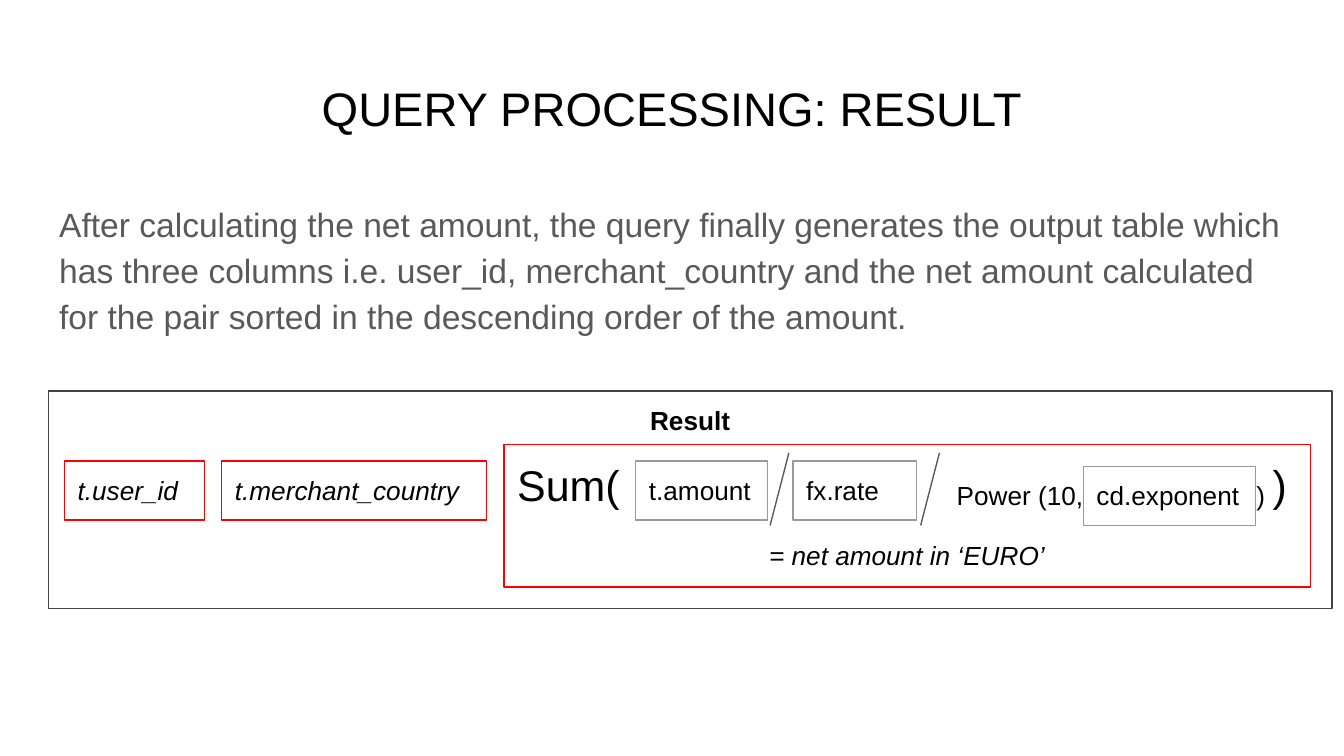
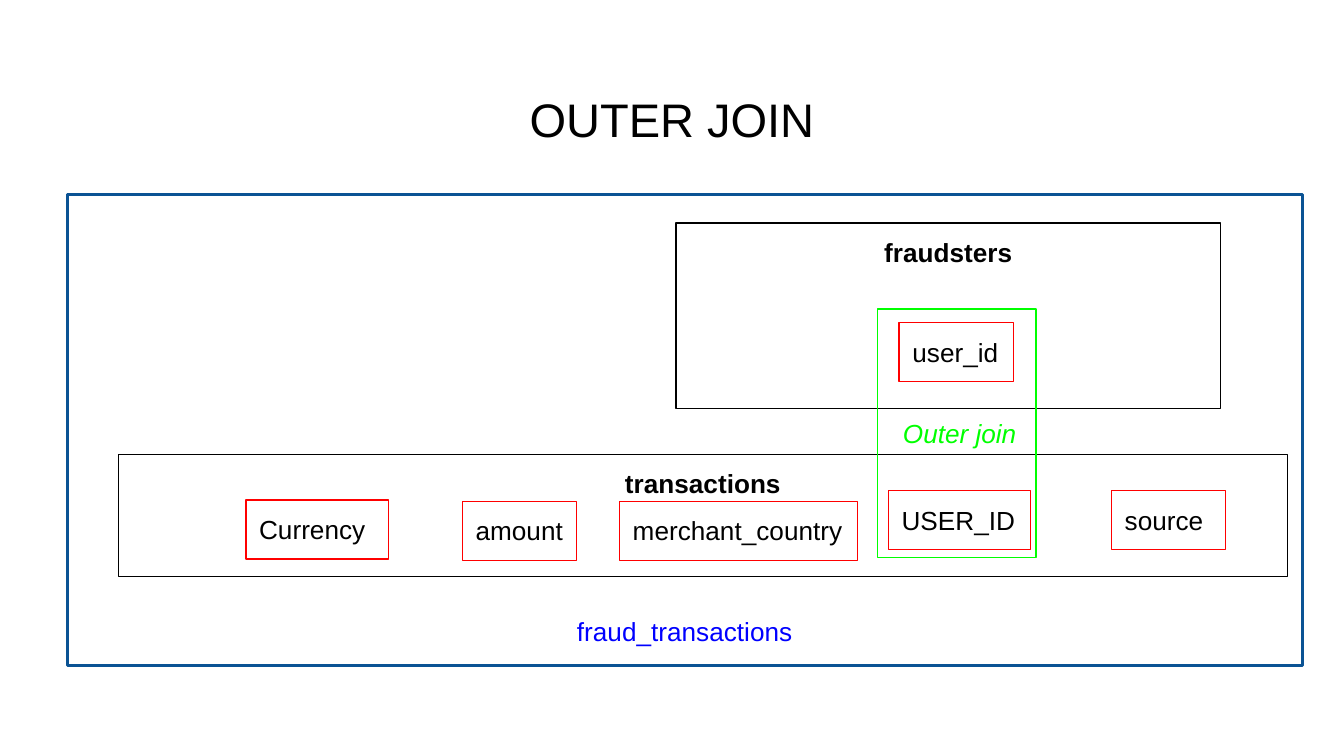
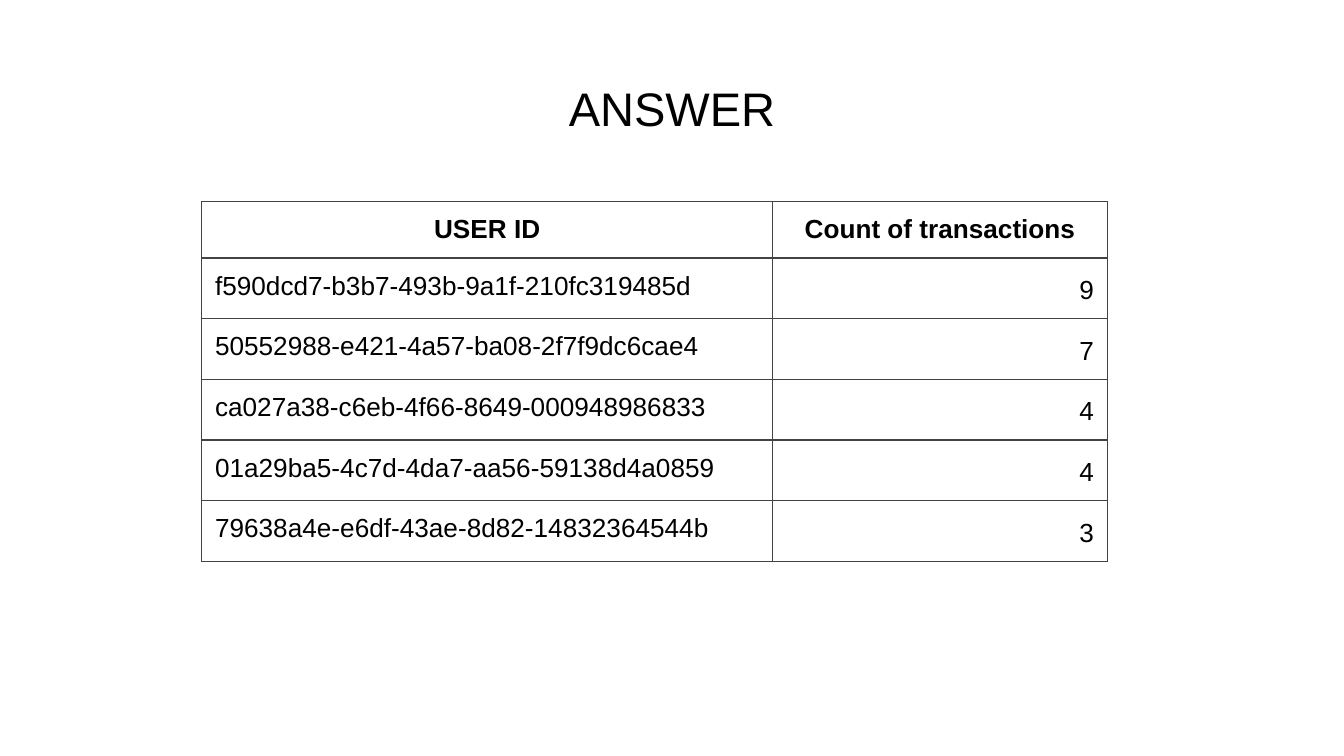
from lxml.etree import SubElement
from pptx import Presentation
from pptx.dml.color import RGBColor
from pptx.enum.shapes import MSO_CONNECTOR, MSO_SHAPE
from pptx.enum.text import MSO_ANCHOR, MSO_AUTO_SIZE, PP_ALIGN
from pptx.oxml.ns import qn
from pptx.util import Inches, Pt

FONT = "Arial"
TEXT_SIZE = 14
MARGIN = 0.1
FIELD_HEIGHT = 0.44
COLORS = {
    "text": "000000",
    "body": "595959",
    "slash": "595959",
    "border": "434343",
    "selected": "FF0000",
    "operand": "999999",
    "join": "00FF00",
    "output_border": "0B5394",
    "output_text": "0000FF",
}
TITLE_ONLY, TITLE_AND_BODY = 5, 1


def color(name):
    return RGBColor.from_string(COLORS[name])


def style_paragraph(paragraph, size=TEXT_SIZE, ink="text", align=PP_ALIGN.LEFT,
                    bold=False, italic=False):
    font = paragraph.font
    font.name, font.size = FONT, Pt(size)
    font.bold, font.italic = bold, italic
    font.color.rgb = color(ink)
    paragraph.alignment = align


def set_margins(target):
    """Give a text frame or table cell the same margin on each side."""
    target.margin_left = target.margin_right = Inches(MARGIN)
    target.margin_top = target.margin_bottom = Inches(MARGIN)


def prepare_frame(shape, anchor):
    frame = shape.text_frame
    set_margins(frame)
    frame.word_wrap = True
    frame.auto_size = MSO_AUTO_SIZE.NONE
    frame.vertical_anchor = anchor
    return frame


def place(shape, left, top, width, height):
    shape.left, shape.top = Inches(left), Inches(top)
    shape.width, shape.height = Inches(width), Inches(height)


def add_tab_stop(paragraph, position):
    properties = paragraph._p.get_or_add_pPr()
    tabs = SubElement(properties, qn("a:tabLst"))
    SubElement(tabs, qn("a:tab"), pos=str(Inches(position)), algn="l")
    # The schema wants tab stops ahead of the default run properties.
    properties.insert(0, tabs)


def add_titled_slide(presentation, title, layout=TITLE_ONLY, top=0.49):
    slide = presentation.slides.add_slide(presentation.slide_layouts[layout])
    shape = slide.shapes.title
    place(shape, 0.34, top, 9.32, 0.63)
    frame = prepare_frame(shape, MSO_ANCHOR.MIDDLE)
    frame.text = title
    style_paragraph(frame.paragraphs[0], size=25.2, align=PP_ALIGN.CENTER)
    return slide


def fill_body(slide, text):
    body = slide.placeholders[1]
    place(body, 0.34, 1.37, 9.32, 1.33)
    frame = prepare_frame(body, MSO_ANCHOR.TOP)
    frame.text = text
    paragraph = frame.paragraphs[0]
    properties = paragraph._p.get_or_add_pPr()
    properties.set("marL", "0")
    properties.set("indent", "0")
    SubElement(properties, qn("a:buNone"))
    style_paragraph(paragraph, size=18, ink="body")
    paragraph.line_spacing = 1.15
    paragraph.space_before, paragraph.space_after = Pt(0), Pt(12)


def add_box(slide, box, text, border, weight=0.75, anchor=MSO_ANCHOR.TOP, **style):
    """Add an outlined rectangle with one styled paragraph."""
    shape = slide.shapes.add_shape(MSO_SHAPE.RECTANGLE, *map(Inches, box))
    shape.shadow.inherit = False
    shape.fill.background()
    shape.line.color.rgb = color(border)
    shape.line.width = Pt(weight)
    frame = prepare_frame(shape, anchor)
    frame.text = text
    style_paragraph(frame.paragraphs[0], **style)
    return shape


def add_field(slide, left, top, width, text, border="selected", italic=False):
    add_box(slide, (left, top, width, FIELD_HEIGHT), text, border, italic=italic)


def add_slash(slide, left, top):
    line = slide.shapes.add_connector(
        MSO_CONNECTOR.STRAIGHT,
        Inches(left + 0.14), Inches(top), Inches(left), Inches(top + 0.54))
    line.line.color.rgb = color("slash")
    line.line.width = Pt(0.75)
    SubElement(line._element.spPr, qn("a:effectLst"))


def add_net_amount(slide, left, top):
    """Draw the formula for the net amount inside its outlined box."""
    for offset, drop, width, text in ((0.98, 0.12, 0.98, "t.amount"),
                                      (2.15, 0.12, 0.92, "fx.rate"),
                                      (4.31, 0.16, 1.28, "cd.exponent")):
        add_field(slide, left + offset, top + drop, width, text, "operand")
    for offset in (1.98, 3.1):
        add_slash(slide, left + offset, top + 0.06)

    power = slide.shapes.add_textbox(
        Inches(left + 3.27), Inches(top + 0.16), Inches(2.56), Inches(FIELD_HEIGHT))
    frame = prepare_frame(power, MSO_ANCHOR.TOP)
    frame.text = "Power (10,\t)"
    style_paragraph(frame.paragraphs[0])
    add_tab_stop(frame.paragraphs[0], 2.23)

    formula = add_box(slide, (left, top, 6, 1.06), "Sum(\t)", "selected", size=23)
    add_tab_stop(formula.text_frame.paragraphs[0], 5.62)
    caption = formula.text_frame.add_paragraph()
    caption.text = "= net amount in ‘EURO’"
    caption.space_before = Pt(16)
    style_paragraph(caption, align=PP_ALIGN.CENTER, italic=True)


def add_result(slide, left, top):
    add_box(slide, (left, top, 9.55, 1.62), "Result", "border",
            align=PP_ALIGN.CENTER, bold=True)
    for offset, width, text in ((0.12, 1.04, "t.user_id"),
                                (1.29, 1.97, "t.merchant_country")):
        add_field(slide, left + offset, top + 0.52, width, text, italic=True)
    add_net_amount(slide, left + 3.39, top + 0.4)


def add_source_table(slide, box, name, fields):
    """Draw a named box with (left, top, width, text) fields relative to it."""
    add_box(slide, box, name, "text", align=PP_ALIGN.CENTER, bold=True)
    for offset, drop, width, text in fields:
        add_field(slide, box[0] + offset, box[1] + drop, width, text)


def add_outer_join(slide, left, top):
    add_source_table(slide, (left + 0.38, top + 1.93, 8.7, 0.91), "transactions", [
        (0.95, 0.34, 1.06, "Currency"),
        (2.56, 0.35, 0.85, "amount"),
        (3.73, 0.35, 1.77, "merchant_country"),
        (5.73, 0.27, 1.06, "USER_ID"),
        (7.39, 0.27, 0.85, "source"),
    ])
    add_source_table(slide, (left + 4.53, top + 0.21, 4.05, 1.38), "fraudsters",
                     [(1.66, 0.74, 0.85, "user_id")])
    join = add_box(slide, (left + 6.03, top + 0.85, 1.18, 1.85), "Outer join", "join",
                   anchor=MSO_ANCHOR.MIDDLE, ink="join", align=PP_ALIGN.CENTER,
                   italic=True)
    join.text_frame.margin_left = Inches(0.14)
    output = add_box(slide, (left, top, 9.19, 3.5), "fraud_transactions",
                     "output_border", weight=1.5, anchor=MSO_ANCHOR.BOTTOM,
                     ink="output_text", align=PP_ALIGN.CENTER)
    output.text_frame.margin_bottom = Inches(0.14)


def add_cell_borders(cell):
    properties = cell._tc.get_or_add_tcPr()
    for index, side in enumerate(("lnL", "lnR", "lnT", "lnB")):
        line = SubElement(properties, qn(f"a:{side}"), w=str(Pt(0.75)))
        fill = SubElement(line, qn("a:solidFill"))
        SubElement(fill, qn("a:srgbClr"), val=COLORS["border"])
        properties.insert(index, line)


def add_answer_table(slide, left, top, rows):
    widths = (4.25, 2.49)
    heights = [0.42] + [0.45] * (len(rows) - 1)
    table = slide.shapes.add_table(
        len(rows), len(widths), Inches(left), Inches(top),
        Inches(sum(widths)), Inches(sum(heights))).table
    table.first_row = table.horz_banding = False
    for column, width in zip(table.columns, widths):
        column.width = Inches(width)
    for row_index, (values, height) in enumerate(zip(rows, heights)):
        table.rows[row_index].height = Inches(height)
        is_header = row_index == 0
        for column_index, value in enumerate(values):
            cell = table.cell(row_index, column_index)
            cell.fill.background()
            set_margins(cell)
            cell.text = value
            paragraph = cell.text_frame.paragraphs[0]
            is_count = column_index == 1 and not is_header
            align = PP_ALIGN.RIGHT if is_count else PP_ALIGN.LEFT
            style_paragraph(paragraph, bold=is_header,
                            align=PP_ALIGN.CENTER if is_header else align)
            if is_count:
                paragraph.line_spacing = 1.15
            add_cell_borders(cell)


def main():
    presentation = Presentation()
    presentation.slide_width = Inches(10)
    presentation.slide_height = Inches(10) * 9 // 16

    slide = add_titled_slide(presentation, "QUERY PROCESSING: RESULT", TITLE_AND_BODY)
    fill_body(slide, "After calculating the net amount, the query finally generates "
                     "the output table which has three columns i.e. user_id, "
                     "merchant_country and the net amount calculated for the pair "
                     "sorted in the descending order of the amount.")
    add_result(slide, 0.36, 2.91)

    slide = add_titled_slide(presentation, "OUTER JOIN", top=0.57)
    add_outer_join(slide, 0.5, 1.45)

    slide = add_titled_slide(presentation, "ANSWER")
    add_answer_table(slide, 1.5, 1.5, [
        ("USER ID", "Count of transactions"),
        ("f590dcd7-b3b7-493b-9a1f-210fc319485d", "9"),
        ("50552988-e421-4a57-ba08-2f7f9dc6cae4", "7"),
        ("ca027a38-c6eb-4f66-8649-000948986833", "4"),
        ("01a29ba5-4c7d-4da7-aa56-59138d4a0859", "4"),
        ("79638a4e-e6df-43ae-8d82-14832364544b", "3"),
    ])
    presentation.save("out.pptx")


if __name__ == "__main__":
    main()
